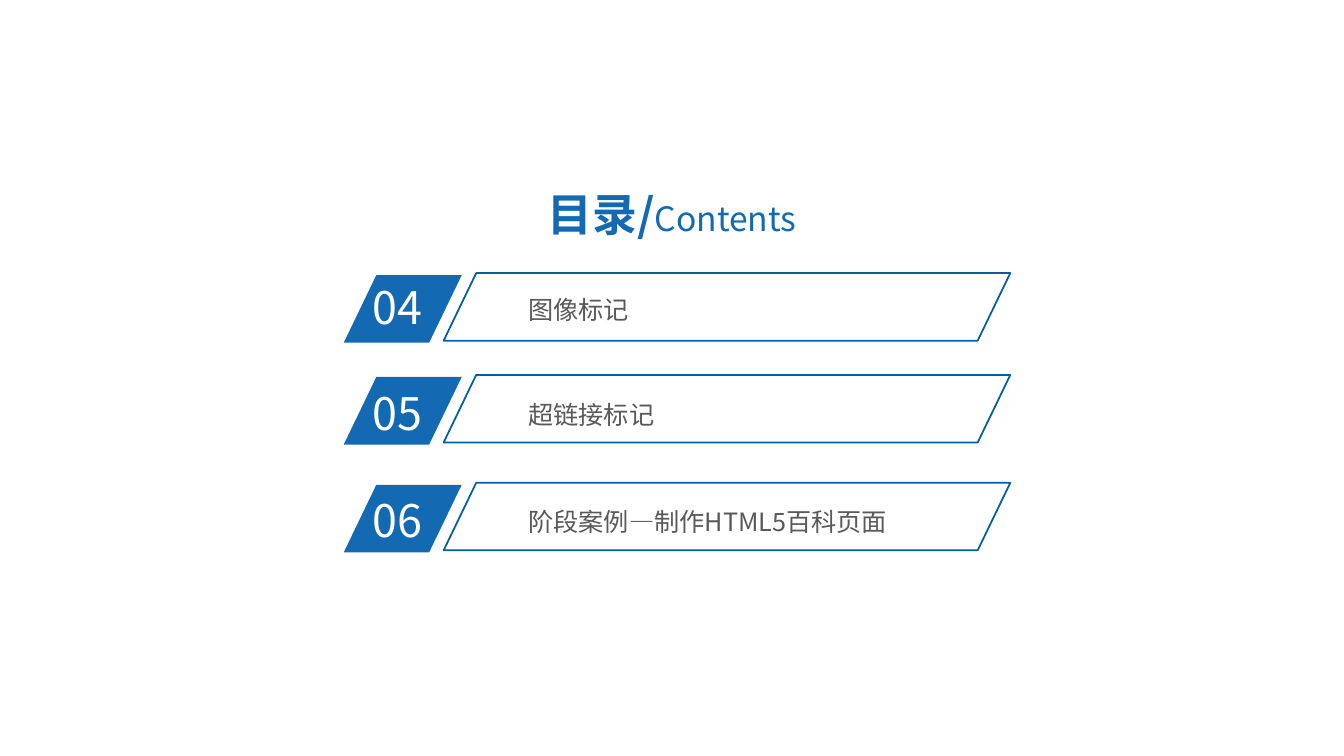
from lxml.etree import SubElement
from pptx import Presentation
from pptx.dml.color import RGBColor
from pptx.enum.shapes import MSO_SHAPE
from pptx.enum.text import MSO_ANCHOR, PP_ALIGN
from pptx.oxml.ns import qn
from pptx.util import Inches, Pt

FONT = "Noto Sans CJK SC"
BLUE = "1369B2"
OUTLINE = "005DA2"
GREY = "595959"
WHITE = "FFFFFF"

ENTRIES = [
    ("04", "图像标记", 2.73, 2.73, 2.88),
    ("05", "超链接标记", 3.74, 3.78, 3.92),
    ("06", "阶段案例—制作HTML5百科页面", 4.81, 4.84, 4.98),
]


def color(value):
    return RGBColor.from_string(value)


def format_span(span, size, shade, bold=False):
    span.font.name = FONT
    span.font.size = Pt(size)
    span.font.bold = bold
    span.font.color.rgb = color(shade)
    SubElement(span.font._element, qn("a:ea"), typeface=FONT)


def add_text(slide, left, top, width, height, spans, inset_x=0.1, inset_y=0.05):
    box = slide.shapes.add_textbox(
        Inches(left), Inches(top), Inches(width), Inches(height))
    frame = box.text_frame
    frame.word_wrap = True
    frame.margin_left = frame.margin_right = Inches(inset_x)
    frame.margin_top = frame.margin_bottom = Inches(inset_y)
    para = frame.paragraphs[0]
    for text, size, shade, bold in spans:
        span = para.add_run()
        span.text = text
        format_span(span, size, shade, bold)
    return frame


def add_parallelogram(slide, left, top, width, fill=None, line=None):
    shape = slide.shapes.add_shape(
        MSO_SHAPE.PARALLELOGRAM,
        Inches(left), Inches(top), Inches(width), Inches(0.67))
    shape.adjustments[0] = 0.482
    shape.shadow.inherit = False
    if fill:
        shape.fill.solid()
        shape.fill.fore_color.rgb = color(fill)
    else:
        shape.fill.background()
    if line:
        shape.line.color.rgb = color(line)
        shape.line.width = Pt(1.25)
    else:
        shape.line.fill.background()


def add_title(slide):
    frame = add_text(
        slide, 5.02, 1.76, 3.29, 0.72,
        [("目录/", 32, BLUE, True), ("Contents", 24, BLUE, False)], 0.13, 0.07)
    frame.vertical_anchor = MSO_ANCHOR.MIDDLE
    frame.paragraphs[0].alignment = PP_ALIGN.CENTER


def add_entry(slide, number, label, top, number_top, label_top):
    add_parallelogram(slide, 3.41, top, 1.17, fill=BLUE)
    add_text(slide, 3.6, number_top, 1.12, 0.64, [(number, 32, WHITE, False)])
    add_text(slide, 5.17, label_top, 4.57, 0.38,
             [(label, 18, GREY, False)], 0.07, 0.04)
    add_parallelogram(slide, 4.4, top - 0.02, 5.62, line=OUTLINE)


def main():
    deck = Presentation()
    deck.slide_width = Inches(13.33)
    deck.slide_height = Inches(7.5)
    slide = deck.slides.add_slide(deck.slide_layouts[6])
    add_title(slide)
    for entry in ENTRIES:
        add_entry(slide, *entry)
    deck.save("out.pptx")


if __name__ == "__main__":
    main()
